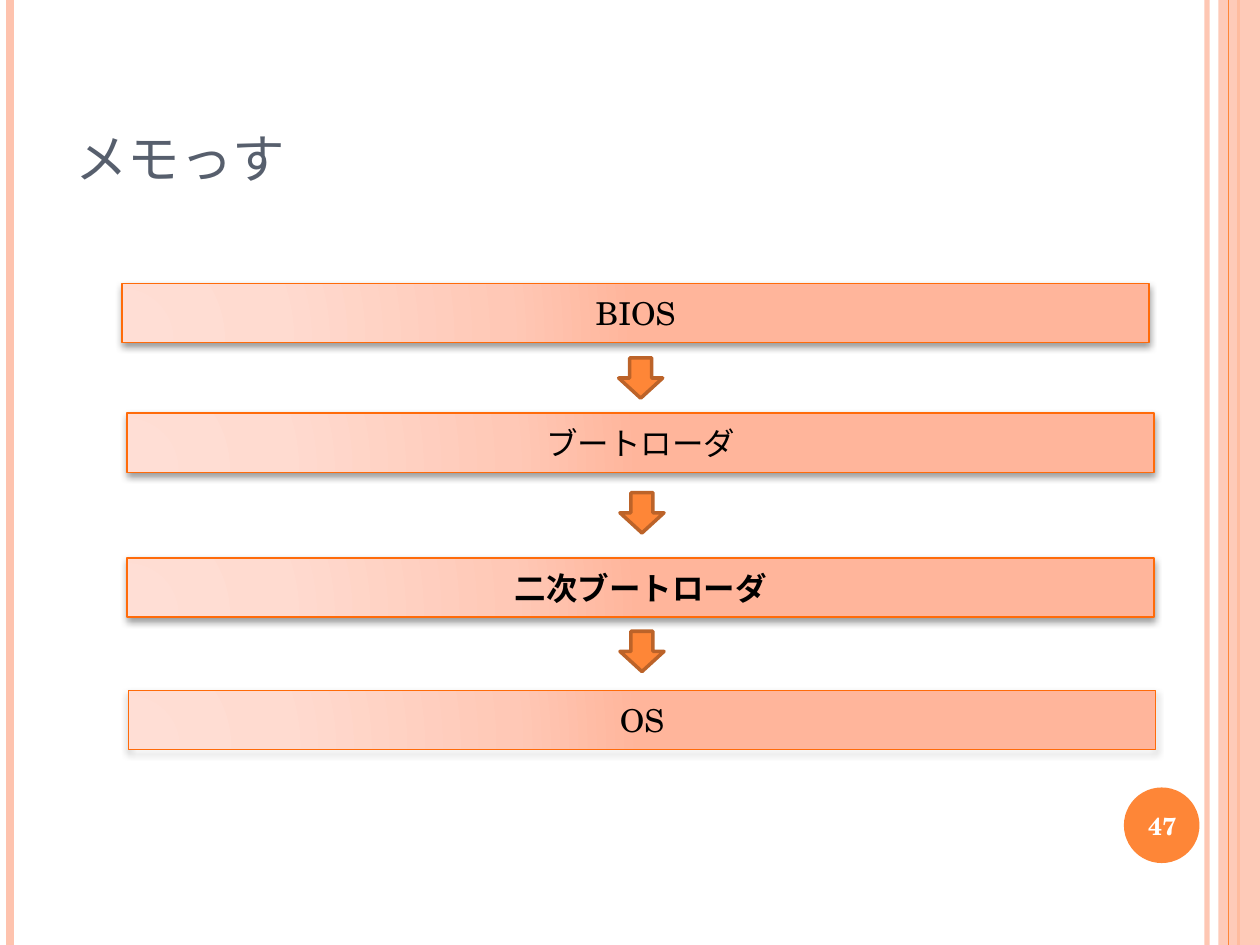
"""Build the boot sequence slide: four stages joined by block arrows."""
from lxml import etree
from pptx import Presentation
from pptx.dml.color import RGBColor
from pptx.enum import shapes, text
from pptx.oxml import parse_xml
from pptx.oxml.ns import qn
from pptx.util import Inches, Pt

NS = 'xmlns:a="http://schemas.openxmlformats.org/drawingml/2006/main"'
C = {"peach": "FEC3AE", "orange": "FE8637", "brown": "BC6329", "edge": "FF6B0A",
     "title": "575F6D", "black": "000000", "white": "FFFFFF"}
STOPS = [(0, "FFDED5"), (30, "FFDBD0"), (75, "FFC8B6"), (100, "FFB59B")]
SHAPE = shapes.MSO_SHAPE


def write(sp, words, size=18, color="black", bold=False,
          align=text.PP_ALIGN.CENTER, anchor=text.MSO_ANCHOR.MIDDLE):
    tf = sp.text_frame
    tf.word_wrap = True
    tf.vertical_anchor = anchor
    p = tf.paragraphs[0]
    p.alignment = align
    r = p.add_run()
    r.text = words
    r.font.name = "TeX Gyre Schola"
    r.font.size = Pt(size)
    r.font.bold = bold
    r.font.color.rgb = RGBColor.from_string(C[color])


def add_shape(kind, box, fill=None, line=None, width=1):
    sp = s.shapes.add_shape(kind, *map(Inches, box))
    sp.shadow.inherit = False
    if fill:
        sp.fill.solid()
        sp.fill.fore_color.rgb = RGBColor.from_string(C[fill])
    if line:
        sp.line.color.rgb = RGBColor.from_string(C[line])
        sp.line.width = Pt(width)
    else:
        sp.line.fill.background()
    return sp


prs = Presentation()
prs.slide_width, prs.slide_height = Inches(10), Inches(7.5)
s = prs.slides.add_slide(prs.slide_layouts[6])

for x, color, width, alpha in [(9.58, "peach", 3, 93), (0.08, "peach", 4.5, 100),
                               (9.83, "orange", 1.5, 100), (None, "peach", 0, 87),
                               (9.75, "orange", 0.75, 100)]:
    if x is None:
        sp = add_shape(SHAPE.RECTANGLE, (9.67, 0, 0.33, 7.5), color)
    else:
        sp = s.shapes.add_connector(shapes.MSO_CONNECTOR.STRAIGHT,
                                    Inches(x), 0, Inches(x), Inches(7.5))
        sp.line.color.rgb = RGBColor.from_string(C[color])
        sp.line.width = Pt(width)
        etree.SubElement(sp._element.spPr, qn("a:effectLst"))
    if alpha < 100:
        clr = next(sp._element.spPr.iter(qn("a:srgbClr")))
        etree.SubElement(clr, qn("a:alpha")).set("val", str(alpha * 1000))

add_shape(SHAPE.OVAL, (8.92, 6.25, 0.6, 0.6), "orange")

title = s.shapes.add_textbox(*map(Inches, (0.5, 0.3, 8.17, 1.25)))
write(title, "メモっす", size=30, color="title", align=text.PP_ALIGN.LEFT,
      anchor=text.MSO_ANCHOR.BOTTOM)

stops = "".join(f'<a:gs pos="{pos * 1000}"><a:srgbClr val="{c}"/></a:gs>' for pos, c in STOPS)
gradient = (f'<a:gradFill {NS} rotWithShape="1"><a:gsLst>{stops}</a:gsLst><a:path path="circle">'
            '<a:fillToRect l="5000" t="100000" r="120000" b="10000"/></a:path></a:gradFill>')
shadow = (f'<a:outerShdw {NS} blurRad="{Pt(4)}" dist="{Pt(2)}" dir="5400000" rotWithShape="0">'
          f'<a:srgbClr val="{C["black"]}"><a:alpha val="40000"/></a:srgbClr></a:outerShdw>')

for x, y, words, bold in [(0.97, 2.25, "BIOS", False), (1.01, 3.28, "ブートローダ", False),
                          (1.01, 4.43, "二次ブートローダ", True), (1.02, 5.48, "OS", False)]:
    sp = add_shape(SHAPE.RECTANGLE, (x, y, 8.15, 0.47), line="edge")
    spPr = sp._element.spPr
    spPr.find(qn("a:prstGeom")).addnext(parse_xml(gradient))
    spPr.find(qn("a:effectLst")).append(parse_xml(shadow))
    write(sp, words, bold=bold)

for x, y in [(4.91, 2.84), (4.92, 3.91), (4.92, 5.01)]:
    add_shape(SHAPE.DOWN_ARROW, (x, y, 0.35, 0.32), "orange", "brown", 2)

number = s.shapes.add_textbox(*map(Inches, (8.89, 6.27, 0.67, 0.57)))
write(number, "47", size=14, color="white", bold=True)

prs.save("out.pptx")
